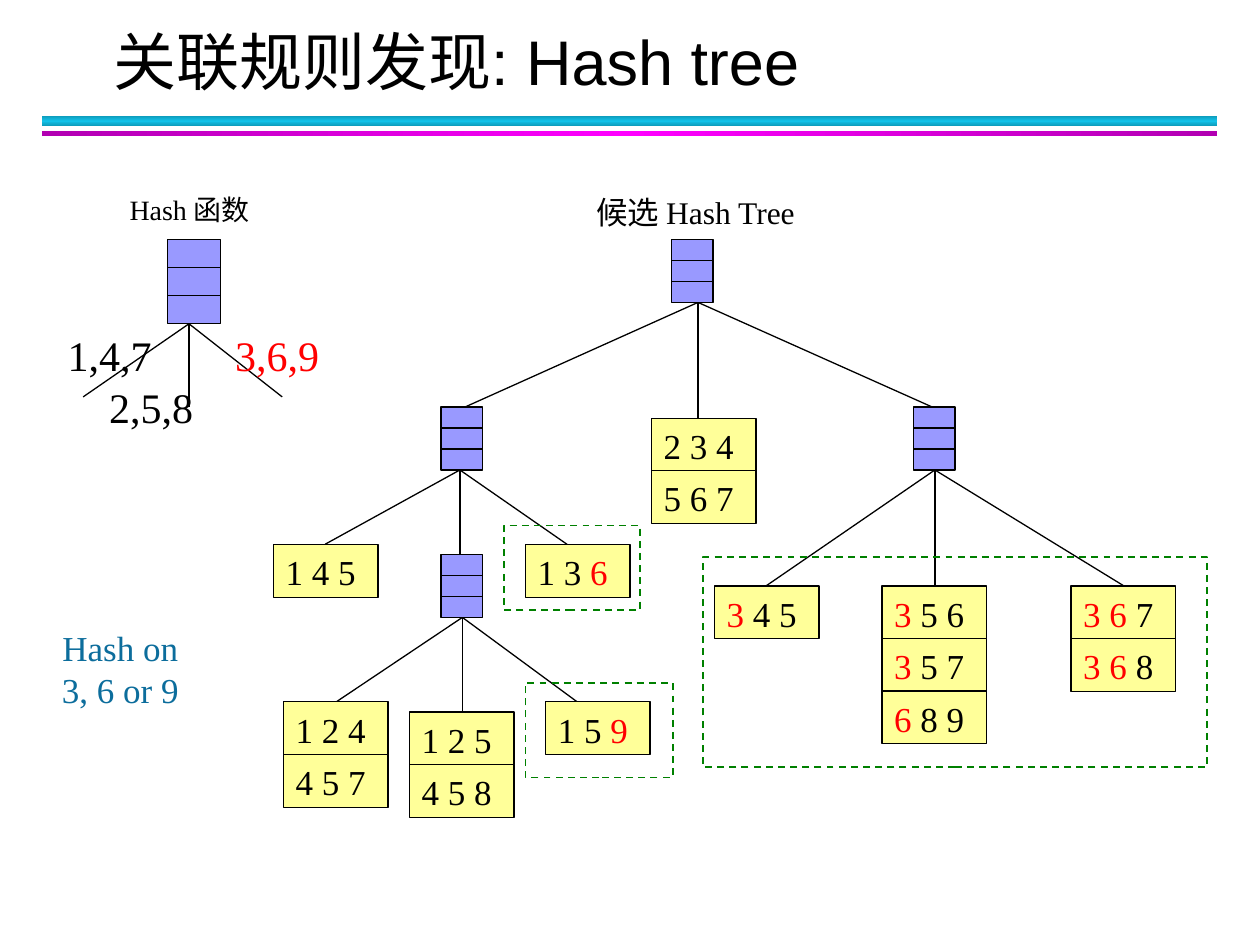
from copy import deepcopy

from lxml import etree
from pptx import Presentation
from pptx.dml.color import RGBColor
from pptx.enum.dml import MSO_LINE
from pptx.enum.shapes import MSO_CONNECTOR, MSO_SHAPE
from pptx.enum.text import MSO_ANCHOR, MSO_AUTO_SIZE, PP_ALIGN
from pptx.oxml.ns import qn
from pptx.util import Inches, Pt

RECTANGLE = MSO_SHAPE.RECTANGLE
STRAIGHT = MSO_CONNECTOR.STRAIGHT
DASH = MSO_LINE.DASH
CENTER, LEFT = PP_ALIGN.CENTER, PP_ALIGN.LEFT
TOP, MIDDLE = MSO_ANCHOR.TOP, MSO_ANCHOR.MIDDLE
FIT, FIXED = MSO_AUTO_SIZE.SHAPE_TO_FIT_TEXT, MSO_AUTO_SIZE.NONE

COLORS = {
    "ink": "000000",
    "red": "FF0000",
    "note": "0C6D9C",
    "node": "9999FF",
    "leaf": "FFFF99",
    "frame": "008000",
    "cyan_edge": "0E9BBA",
    "cyan_middle": "12C2E9",
    "magenta_edge": "B200B2",
    "magenta_middle": "FF00FF",
}
LABEL_FORMAT = {
    "word_wrap": False,
    "auto_size": FIT,
    "vertical_anchor": TOP,
    "margin_left": Inches(0.05),
    "margin_right": Inches(0.05),
}
NOTE_FORMAT = {"word_wrap": True, "auto_size": FIT, "vertical_anchor": TOP}
TITLE_FORMAT = {"word_wrap": True, "auto_size": FIXED, "vertical_anchor": MIDDLE}

LEAF_WIDTH, LEAF_HEIGHT = 0.83, 0.42
LEAF_STEP = 5 / 12

BRANCHES = [
    ((5.54, 2.4), [(3.67, 3.24), (5.54, 3.32), (7.42, 3.24)]),
    ((3.65, 3.73), [(2.58, 4.32), (3.65, 4.4), (4.5, 4.32)]),
    ((7.42, 3.73), [(6.08, 4.65), (7.42, 4.65), (8.92, 4.65)]),
    ((3.67, 4.9), [(2.67, 5.57), (3.67, 5.65), (4.58, 5.57)]),
    ((1.5, 2.57), [(0.66, 3.15), (1.5, 3.23), (2.24, 3.15)]),
]
TREE_NODES = [(5.33, 1.9), (3.5, 3.23), (7.25, 3.23), (3.5, 4.4)]
LEAVES = [
    (5.17, 3.32, ["2 3 4", "5 6 7"]),
    (2.17, 4.32, ["1 4 5"]),
    (4.17, 4.32, ["1 3 *6*"]),
    (5.67, 4.65, ["*3* 4 5"]),
    (7, 4.65, ["*3* 5 6", "*3* 5 7", "*6* 8 9"]),
    (8.5, 4.65, ["*3 6* 7", "*3 6* 8"]),
    (2.25, 5.57, ["1 2 4", "4 5 7"]),
    (3.25, 5.65, ["1 2 5", "4 5 8"]),
    (4.33, 5.57, ["1 5 *9*"]),
]
MATCH_FRAMES = [(4.17, 5.42, 1.17, 0.75), (5.58, 4.42, 4, 1.67), (4, 4.17, 1.08, 0.67)]
HASH_LABELS = [
    (0.44, 2.57, 0.86, 0.5, "1,4,7", 24),
    (0.77, 2.98, 0.86, 0.5, "2,5,8", 24),
    (1.77, 2.57, 0.86, 0.5, "*3,6,9*", 24),
    (0.9, 1.48, 1.21, 0.37, "Hash 函数", 16),
    (4.59, 1.48, 1.86, 0.4, "候选 Hash Tree", 18),
]


def rgb(name):
    return RGBColor.from_string(COLORS[name])


class HashTreeSlide:
    font = "Times New Roman"
    title_font = "Arial"
    line_width = 0.75

    def __init__(self, slide):
        self.slide = slide

    def box(self, left, top, width, height):
        box = self.slide.shapes.add_shape(
            RECTANGLE, Inches(left), Inches(top), Inches(width), Inches(height))
        box.shadow.inherit = False
        return box

    def filled(self, left, top, width, height, color):
        box = self.box(left, top, width, height)
        box.fill.solid()
        box.fill.fore_color.rgb = rgb(color)
        box.line.color.rgb = rgb("ink")
        box.line.width = Pt(self.line_width)

    def frame(self, left, top, width, height):
        frame = self.box(left, top, width, height)
        frame.fill.background()
        frame.line.color.rgb = rgb("frame")
        frame.line.width = Pt(1)
        frame.line.dash_style = DASH

    def band(self, top, height, edge, middle, angle):
        band = self.box(0.33, top, 9.33, height)
        band.line.fill.background()
        band.fill.gradient()
        band.fill.gradient_angle = angle
        first, last = band.element.xpath(".//a:gs")
        last.addprevious(deepcopy(first))
        stops = zip(band.fill.gradient_stops, (0, 0.5, 1), (edge, middle, edge))
        for stop, position, color in stops:
            stop.position = position
            stop.color.rgb = rgb(color)

    def line(self, start, end):
        line = self.slide.shapes.add_connector(
            STRAIGHT, *(Inches(value) for value in (*start, *end)))
        line.line.color.rgb = rgb("ink")
        line.line.width = Pt(self.line_width)
        etree.SubElement(line.element.spPr, qn("a:effectLst"))

    def text(self, left, top, width, height, words, size, color="ink",
             font=font, align=CENTER, layout=LABEL_FORMAT):
        area = self.slide.shapes.add_textbox(
            Inches(left), Inches(top), Inches(width), Inches(height)).text_frame
        for name, value in layout.items():
            setattr(area, name, value)
        paragraph = area.paragraphs[0]
        paragraph.alignment = align
        for index, part in enumerate(words.split("*")):
            if part:
                run = paragraph.add_run()
                run.text = part
                run.font.name = font
                run.font.size = Pt(size)
                run.font.color.rgb = rgb("red" if index % 2 else color)

    def branch(self, apex, ends):
        for end in ends:
            self.line(apex, end)

    def node(self, left, top, width=0.33, height=0.5):
        self.filled(left, top, width, height, "node")
        for third in (1, 2):
            divider = top + height * third / 3
            self.line((left, divider), (left + width, divider))

    def leaf(self, left, top, itemsets):
        for row, itemset in enumerate(itemsets):
            row_top = top + row * LEAF_STEP
            self.filled(left, row_top, LEAF_WIDTH, LEAF_HEIGHT, "leaf")
            self.text(left, row_top, 0.75, 0.44, itemset, 20)


def main():
    deck = Presentation()
    deck.slide_width, deck.slide_height = Inches(10), Inches(7.5)
    page = HashTreeSlide(deck.slides.add_slide(deck.slide_layouts[6]))

    page.band(0.92, 0.08, "cyan_edge", "cyan_middle", 90)
    page.band(1.04, 0.04, "magenta_edge", "magenta_middle", 0)
    page.text(0.8, 0.18, 9, 0.6, "关联规则发现: Hash tree", 36,
              font=page.title_font, align=LEFT, layout=TITLE_FORMAT)

    for apex, ends in BRANCHES:
        page.branch(apex, ends)
    for left, top in TREE_NODES:
        page.node(left, top)
    page.node(1.33, 1.9, 0.42, 0.67)
    for left, top, itemsets in LEAVES:
        page.leaf(left, top, itemsets)
    for label in HASH_LABELS:
        page.text(*label)
    for bounds in MATCH_FRAMES:
        page.frame(*bounds)
    page.text(0.33, 4.92, 1.25, 0.77, "Hash on 3, 6 or 9", 20, "note", layout=NOTE_FORMAT)

    deck.save("out.pptx")


if __name__ == "__main__":
    main()
